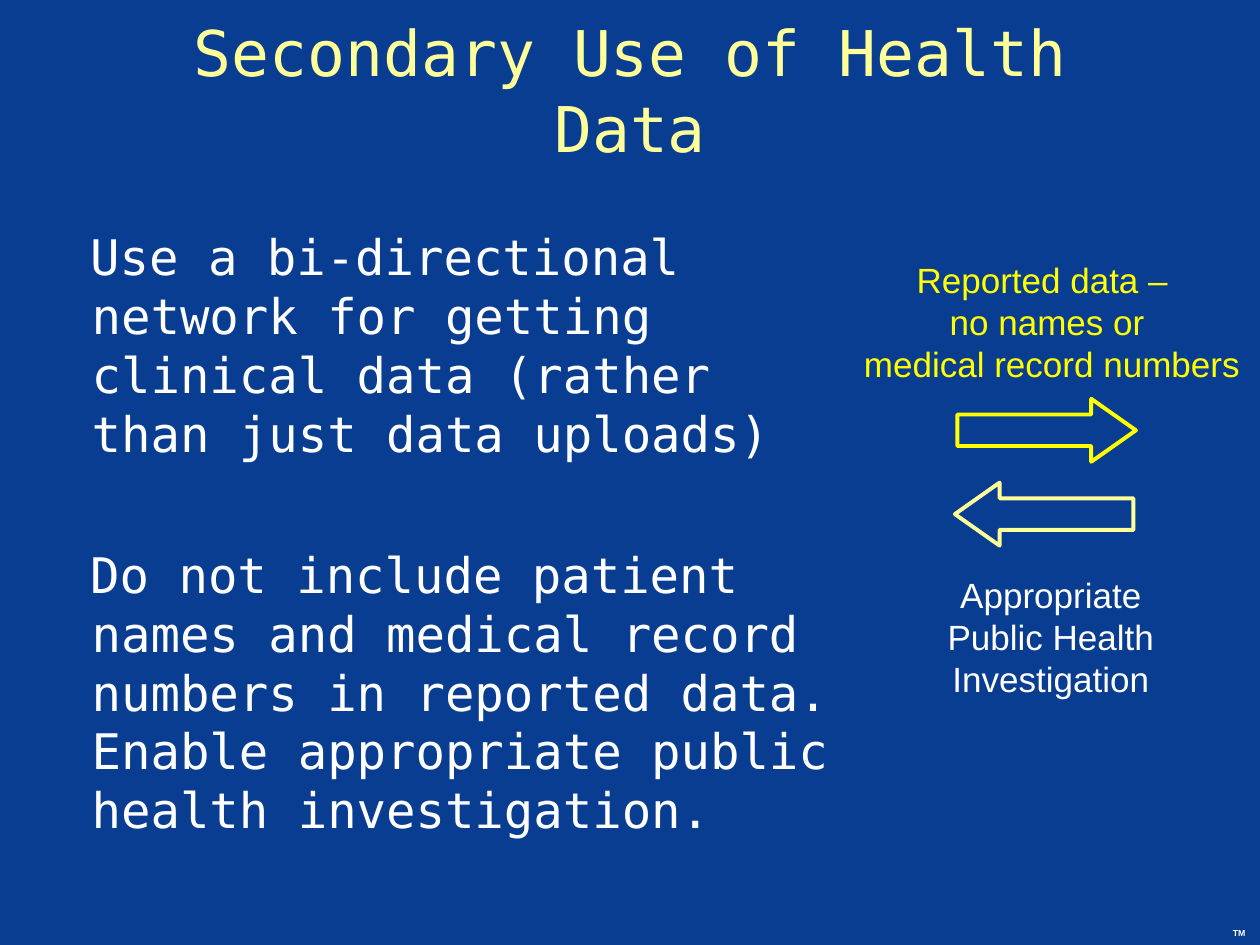
from pptx import Presentation
from pptx.dml.color import RGBColor
from pptx.enum.shapes import MSO_SHAPE
from pptx.enum.text import MSO_ANCHOR, MSO_AUTO_SIZE, PP_ALIGN
from pptx.util import Cm, Pt

COLORS = {"blue": "083D92", "cream": "FFFF99", "yellow": "FFFF00", "white": "FFFFFF"}
MONO = "DejaVu Sans Mono"


def rgb(name):
    return RGBColor.from_string(COLORS[name])


def write(sp, lines, size, color="white", font="Arial", bold=False,
          align=PP_ALIGN.CENTER, wrap=True, anchor=MSO_ANCHOR.TOP, gap=0):
    tf = sp.text_frame
    tf.auto_size = MSO_AUTO_SIZE.NONE
    tf.word_wrap = wrap
    tf.vertical_anchor = anchor
    for i, line in enumerate(lines):
        p = tf.add_paragraph() if i else tf.paragraphs[0]
        p.alignment = align
        p.space_before = Pt(gap if i else 0)
        r = p.add_run()
        r.text = line
        r.font.size = Pt(size)
        r.font.name = font
        r.font.bold = bold
        r.font.color.rgb = rgb(color)
    return tf


prs = Presentation()
prs.slide_width, prs.slide_height = Cm(25.4), Cm(19.05)
s = prs.slides.add_slide(prs.slide_layouts[5])
s.background.fill.solid()
s.background.fill.fore_color.rgb = rgb("blue")

# Title
title = s.shapes.title
title.left, title.top, title.width, title.height = Cm(1.9), Cm(0.43), Cm(21.6), Cm(2.74)
write(title, ["Secondary Use of Health Data"], 36, "cream", MONO, anchor=MSO_ANCHOR.MIDDLE)

# Body text with a hanging indent
body = s.shapes.add_textbox(Cm(1.27), Cm(4.45), Cm(15.88), Cm(11.43))
tf = write(body, [
    "Use a bi-directional network for getting clinical data "
    "(rather than just data uploads)",
    "Do not include patient names and medical record numbers in reported data. "
    "Enable appropriate public health investigation.",
], 28, font=MONO, align=PP_ALIGN.LEFT, gap=47)
for p in tf.paragraphs:
    pPr = p._p.get_or_add_pPr()
    pPr.set("marL", str(Cm(0.33)))
    pPr.set("indent", str(Cm(-0.03)))

# Arrows for the two directions of the network
for shape, x, y, color in [
    (MSO_SHAPE.RIGHT_ARROW, 19.3, 8.04, "yellow"),
    (MSO_SHAPE.LEFT_ARROW, 19.25, 9.73, "cream"),
]:
    sp = s.shapes.add_shape(shape, Cm(x), Cm(y), Cm(3.6), Cm(1.27))
    sp.adjustments[1] = 0.71
    sp.shadow.inherit = False
    sp.fill.background()
    sp.line.color.rgb = rgb(color)
    sp.line.width = Pt(2.25)

# Arrow labels
for x, y, w, color, lines in [
    (16.97, 5.08, 8.28, "yellow", ["Reported data – ", "no names or", " medical record numbers"]),
    (18.85, 11.43, 4.67, "white", ["Appropriate", "Public Health", "Investigation"]),
]:
    label = s.shapes.add_textbox(Cm(x), Cm(y), Cm(w), Cm(2.8))
    write(label, lines, 20, color, wrap=False)

# Corner mark
mark = s.shapes.add_textbox(Cm(24.56), Cm(18.58), Cm(0.84), Cm(0.47))
write(mark, ["TM"], 5, bold=True, wrap=False)

prs.save("out.pptx")
